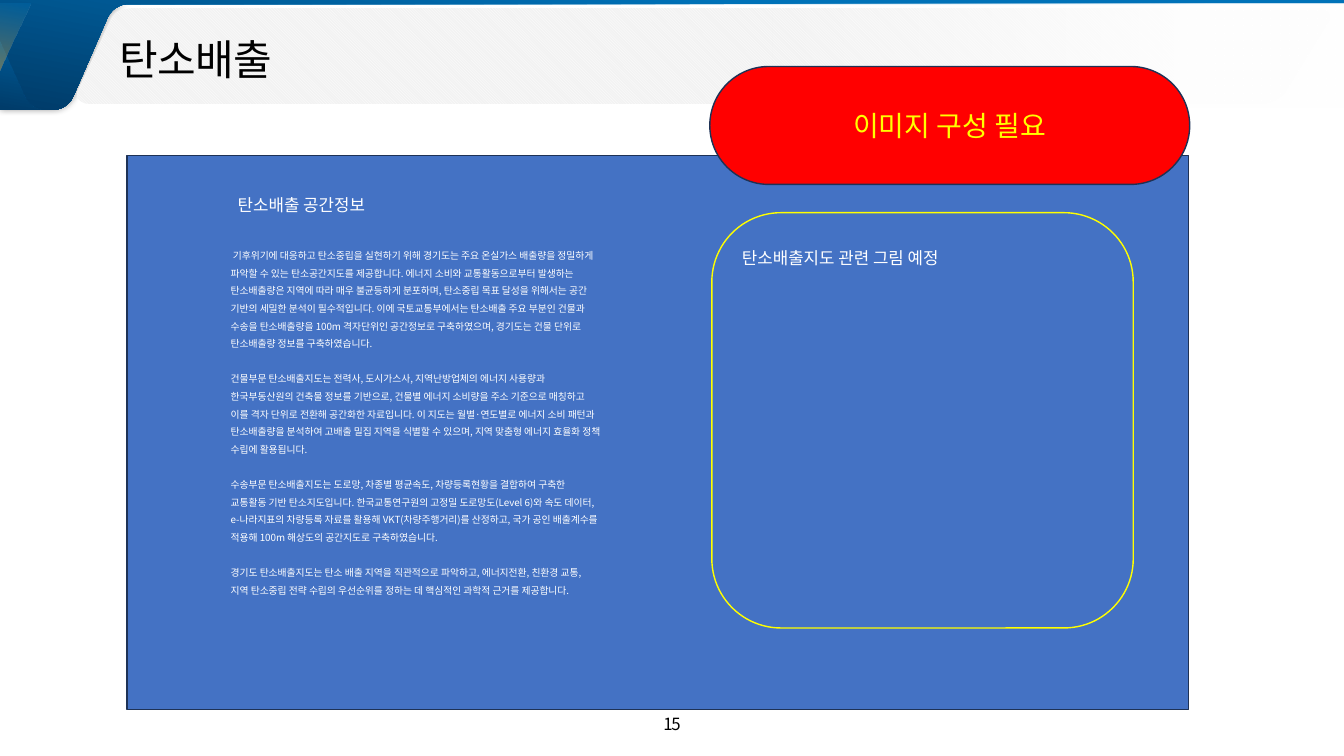
from dataclasses import dataclass

import pptx
import pptx.dml.color
import pptx.enum.dml
import pptx.enum.shapes
import pptx.enum.text
import pptx.oxml
import pptx.oxml.ns
import pptx.util
from pptx.util import Inches

RGBColor = pptx.dml.color.RGBColor
SHAPE = pptx.enum.shapes.MSO_SHAPE
ANCHOR = pptx.enum.text.MSO_ANCHOR
ALIGN = pptx.enum.text.PP_ALIGN

BLACK = RGBColor(0x00, 0x00, 0x00)
WHITE = RGBColor(0xFF, 0xFF, 0xFF)
YELLOW = RGBColor(0xFF, 0xFF, 0x00)
RED = RGBColor(0xFF, 0x00, 0x00)
PANEL_BLUE = RGBColor(0x44, 0x72, 0xC4)
NAVY = RGBColor(0x1E, 0x32, 0x56)
BRIGHT_BLUE = RGBColor(0x00, 0x72, 0xB8)
DEEP_BLUE = RGBColor(0x00, 0x3C, 0x6A)
ORANGE = RGBColor(0xF6, 0xB2, 0x38)
PALE_GREY = RGBColor(0xF2, 0xF2, 0xF2)

NOTO = "Noto Sans CJK KR"
DRAWING_NS = pptx.oxml.ns.nsdecls("a")

Point = tuple[float, float]
Box = tuple[float, float, float, float]


@dataclass
class Stop:
    position: int
    color: RGBColor
    opacity: int = 100


@dataclass
class TextStyle:
    size: float
    color: RGBColor = WHITE
    font: str = NOTO
    align: ALIGN = ALIGN.LEFT
    anchor: ANCHOR = ANCHOR.TOP
    spacing: float = 1.0
    gap: float = 0
    tracking: int = 0
    inset: bool = True


@dataclass
class Panel:
    kind: SHAPE
    box: Box
    fill: RGBColor
    line: RGBColor
    corner: float | None = None
    text: str = ""
    style: TextStyle | None = None


def curve(p0: Point, p1: Point, p2: Point, p3: Point, steps: int = 12) -> list[Point]:
    """Points along a cubic Bezier curve."""
    points = []
    for i in range(steps + 1):
        t = i / steps
        u = 1 - t
        weights = (u**3, 3 * u * u * t, 3 * u * t * t, t**3)
        points.append(tuple(sum(w * p[axis] for w, p in zip(weights, (p0, p1, p2, p3)))
                            for axis in (0, 1)))
    return points


def add_outline(s, points: list[Point]):
    scaled = [(Inches(x), Inches(y)) for x, y in points]
    builder = s.shapes.build_freeform(*scaled[0], scale=1.0)
    builder.add_line_segments(scaled[1:], close=True)
    sp = builder.convert_to_shape()
    sp.shadow.inherit = False
    sp.line.fill.background()
    return sp


def set_gradient(sp, stops: list[Stop], angle: int) -> None:
    items = "".join(
        f'<a:gs pos="{g.position * 1000}"><a:srgbClr val="{g.color}">'
        f'<a:alpha val="{g.opacity * 1000}"/></a:srgbClr></a:gs>' for g in stops)
    sp.fill.background()
    no_fill = sp._element.spPr.find(pptx.oxml.ns.qn("a:noFill"))
    sp._element.spPr.replace(no_fill, pptx.oxml.parse_xml(
        f'<a:gradFill {DRAWING_NS} rotWithShape="1"><a:gsLst>{items}</a:gsLst>'
        f'<a:lin ang="{angle * 60000}" scaled="0"/></a:gradFill>'))


def set_text(sp, paragraphs: list[str], style: TextStyle) -> None:
    tf = sp.text_frame
    tf.word_wrap = True
    tf.auto_size = pptx.enum.text.MSO_AUTO_SIZE.NONE
    tf.vertical_anchor = style.anchor
    if not style.inset:
        tf.margin_left = tf.margin_right = tf.margin_top = tf.margin_bottom = 0
    for i, text in enumerate(paragraphs):
        p = tf.add_paragraph() if i else tf.paragraphs[0]
        p.text = text
        p.alignment = style.align
        p.line_spacing = style.spacing
        p.space_before = pptx.util.Pt(style.gap if i else 0)
        for r in p.runs:
            r.font.size = pptx.util.Pt(style.size)
            r.font.color.rgb = style.color
            r.font.name = style.font
            props = r._r.get_or_add_rPr()
            props.append(pptx.oxml.parse_xml(f'<a:ea {DRAWING_NS} typeface="{NOTO}"/>'))
            if style.tracking:
                props.set("spc", str(style.tracking))


def add_text(s, box: Box, paragraphs: list[str], style: TextStyle) -> None:
    set_text(s.shapes.add_textbox(*map(Inches, box)), paragraphs, style)


def add_panel(s, panel: Panel) -> None:
    sp = s.shapes.add_shape(panel.kind, *map(Inches, panel.box))
    sp.shadow.inherit = False
    sp.fill.solid()
    sp.fill.fore_color.rgb = panel.fill
    sp.line.color.rgb = panel.line
    sp.line.width = pptx.util.Pt(1)
    if panel.corner is not None:
        sp.adjustments[0] = panel.corner
    if panel.style:
        set_text(sp, [panel.text], panel.style)


def add_header(s) -> None:
    top_curve = curve((1.28, 0.04), (1.19, 0.04), (1.11, 0.09), (1.07, 0.17))
    foot_curve = curve((0.73, 0.95), (0.69, 1.04), (0.61, 1.09), (0.52, 1.09))
    tab_edge = top_curve + foot_curve

    # Shadowed tab
    tab = add_outline(s, [(0, 0.04)] + tab_edge + [(0, 1.09)])
    set_gradient(tab, [Stop(8, BRIGHT_BLUE), Stop(99, DEEP_BLUE)], 100)
    effects = tab._element.spPr.find(pptx.oxml.ns.qn("a:effectLst"))
    effects.append(pptx.oxml.parse_xml(
        f'<a:outerShdw {DRAWING_NS} blurRad="{pptx.util.Pt(5)}" dist="0" dir="0">'
        '<a:srgbClr val="000000"><a:alpha val="40000"/></a:srgbClr></a:outerShdw>'))

    # Top strip running into the tab
    strip = add_outline(
        s, [(0, 0), (13.33, 0), (13.33, 0.04)] + tab_edge
        + curve((0.46, 1.09), (0.37, 1.09), (0.29, 1.04), (0.25, 0.95))
        + [(0.04, 0.48), (0, 0.39)])
    set_gradient(strip, [Stop(31, BRIGHT_BLUE), Stop(99, DEEP_BLUE)], 100)

    # Hatched title band, fading to white on the right
    band = add_outline(
        s, curve((1.1, 0.19), (1.14, 0.12), (1.2, 0.09), (1.31, 0.08))
        + curve((13.07, 0.08), (13.16, 0.08), (13.21, 0.15), (13.18, 0.21))
        + curve((12.75, 0.91), (12.7, 0.98), (12.6, 1.03), (12.5, 1.03))
        + curve((0.88, 1.03), (0.8, 1.03), (0.74, 0.96), (0.77, 0.9)))
    band.fill.patterned()
    band.fill.pattern = pptx.enum.dml.MSO_PATTERN.LIGHT_DOWNWARD_DIAGONAL
    band.fill.fore_color.rgb = WHITE
    band.fill.back_color.rgb = PALE_GREY
    fade = s.shapes.add_shape(SHAPE.RECTANGLE, *map(Inches, (7.65, 0.04, 5.68, 1.03)))
    fade.shadow.inherit = False
    fade.line.fill.background()
    set_gradient(fade, [Stop(0, WHITE, 0), Stop(77, WHITE)], 0)

    # Tinted corner
    corner = add_outline(s, [(0, 0.04), (0.3, 0.04), (0.1, 0.48), (0, 0.71)])
    set_gradient(corner, [Stop(0, BRIGHT_BLUE, 30), Stop(100, ORANGE, 42)], 100)


BODY = [
    " 기후위기에 대응하고 탄소중립을 실현하기 위해 경기도는 주요 온실가스 배출량을 정밀하게 파악할 수 있는 탄소공간지도를 제공합니다. 에너지 소비와 교통활동으로부터 발생하는 탄소배출량은 지역에 따라 매우 불균등하게 분포하며, 탄소중립 목표 달성을 위해서는 공간 기반의 세밀한 분석이 필수적입니다. 이에 국토교통부에서는 탄소배출 주요 부분인 건물과 수송을 탄소배출량을 100m 격자단위인 공간정보로 구축하였으며, 경기도는 건물 단위로 탄소배출량 정보를 구축하였습니다.",
    "건물부문 탄소배출지도는 전력사, 도시가스사, 지역난방업체의 에너지 사용량과 한국부동산원의 건축물 정보를 기반으로, 건물별 에너지 소비량을 주소 기준으로 매칭하고 이를 격자 단위로 전환해 공간화한 자료입니다. 이 지도는 월별·연도별로 에너지 소비 패턴과 탄소배출량을 분석하여 고배출 밀집 지역을 식별할 수 있으며, 지역 맞춤형 에너지 효율화 정책 수립에 활용됩니다.",
    "수송부문 탄소배출지도는 도로망, 차종별 평균속도, 차량등록현황을 결합하여 구축한 교통활동 기반 탄소지도입니다. 한국교통연구원의 고정밀 도로망도(Level 6)와 속도 데이터, e-나라지표의 차량등록 자료를 활용해 VKT(차량주행거리)를 산정하고, 국가 공인 배출계수를 적용해 100m 해상도의 공간지도로 구축하였습니다.",
    "경기도 탄소배출지도는 탄소 배출 지역을 직관적으로 파악하고, 에너지전환, 친환경 교통, 지역 탄소중립 전략 수립의 우선순위를 정하는 데 핵심적인 과학적 근거를 제공합니다.",
]
HEADING = TextStyle(12, spacing=1.5)


def main() -> None:
    prs = pptx.Presentation()
    prs.slide_width, prs.slide_height = Inches(13.33), Inches(7.5)
    s = prs.slides.add_slide(prs.slide_layouts[5])
    add_header(s)

    # Page number
    add_text(s, (5.54, 7.08, 2.25, 0.2), ["15"],
             TextStyle(12, BLACK, align=ALIGN.CENTER, anchor=ANCHOR.MIDDLE,
                       spacing=1.05, tracking=-100, inset=False))

    # Main panel with the map area and the text column
    add_panel(s, Panel(SHAPE.RECTANGLE, (1.26, 1.54, 10.53, 5.5), PANEL_BLUE, NAVY))
    add_panel(s, Panel(SHAPE.ROUNDED_RECTANGLE, (7.06, 2.11, 4.18, 4.12), PANEL_BLUE, YELLOW,
                       text="탄소배출지도 관련 그림 예정", style=HEADING))
    add_text(s, (2.19, 2.37, 3.87, 3.79), BODY, TextStyle(7, spacing=1.5, gap=12.6))
    add_text(s, (2.26, 1.78, 3.36, 0.36), ["탄소배출 공간정보"], HEADING)

    # Title, brought in front of the header band
    title = s.shapes.title
    title.left, title.top, title.width, title.height = map(Inches, (1.19, 0.33, 9.15, 0.5))
    set_text(title, ["탄소배출"], TextStyle(30, BLACK, anchor=ANCHOR.MIDDLE,
                                        tracking=-60, inset=False))
    s.shapes._spTree.append(title._element)

    # Reminder pill
    add_panel(s, Panel(SHAPE.ROUNDED_RECTANGLE, (7.04, 0.66, 4.76, 1.17), RED, NAVY, 0.5,
                       "이미지 구성 필요",
                       TextStyle(20, YELLOW, "Calibri", ALIGN.CENTER, ANCHOR.MIDDLE)))
    prs.save("out.pptx")


if __name__ == "__main__":
    main()
